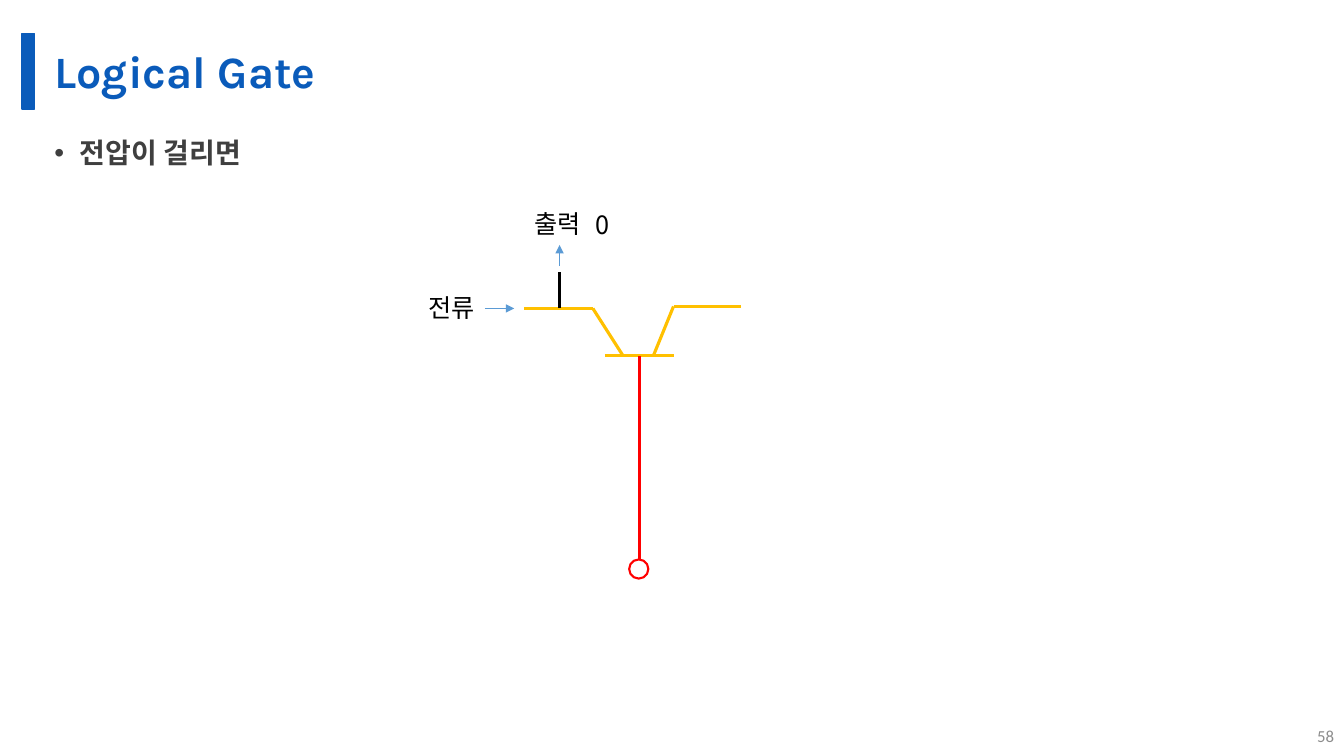
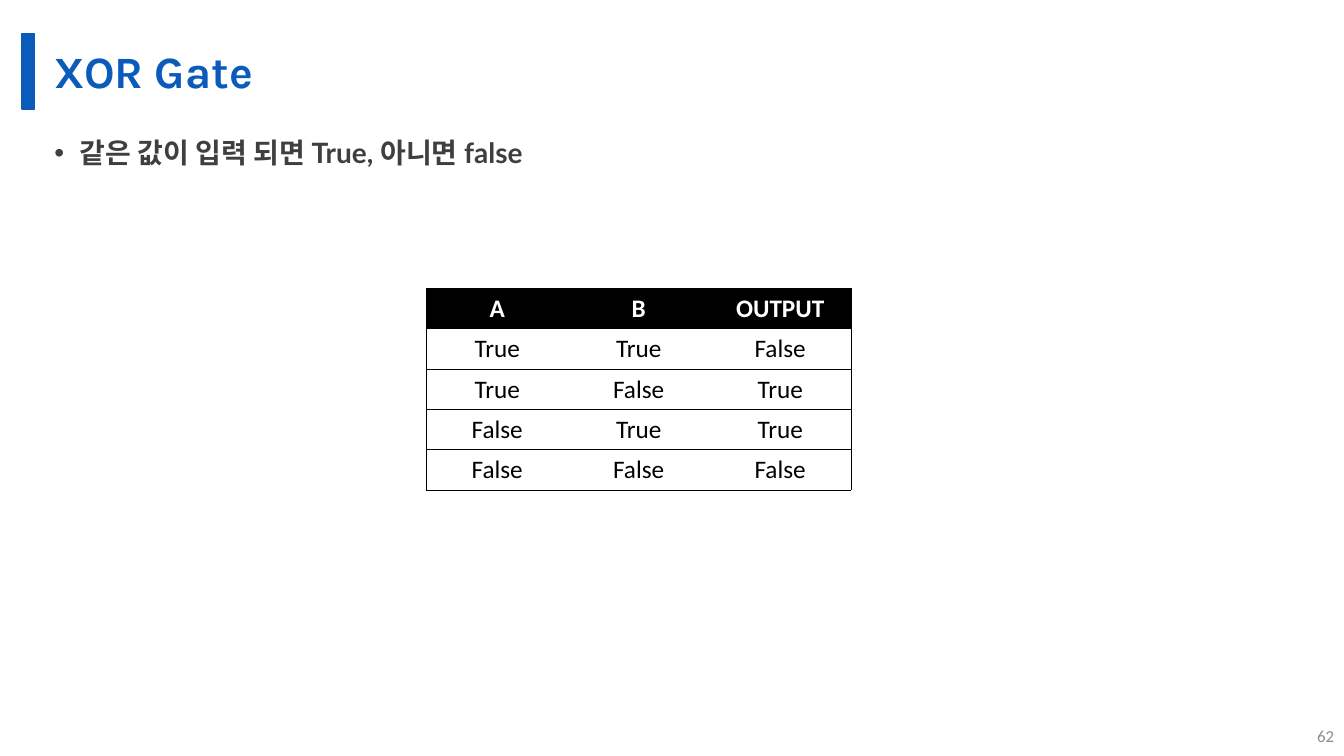
from lxml.etree import SubElement
from pptx import Presentation
from pptx.dml.color import RGBColor
from pptx.enum.shapes import MSO_CONNECTOR, MSO_SHAPE
from pptx.enum.text import MSO_ANCHOR, MSO_AUTO_SIZE, PP_ALIGN
from pptx.oxml.ns import qn
from pptx.util import Inches, Pt

BLUE = RGBColor(0x0A, 0x5B, 0xBA)
DARK_GRAY = RGBColor(0x3F, 0x3F, 0x3F)
PAGE_GRAY = RGBColor(0x8C, 0x8C, 0x8C)
AMBER = RGBColor(0xFF, 0xC0, 0x00)
RED = RGBColor(0xFF, 0x00, 0x00)
ARROW_BLUE = RGBColor(0x5B, 0x9B, 0xD5)
BLACK = RGBColor(0x00, 0x00, 0x00)
WHITE = RGBColor(0xFF, 0xFF, 0xFF)

TITLE_FONT, BODY_FONT, TABLE_FONT = "Karla", "Lato", "Calibri"
KOREAN_FONT = "Noto Sans CJK KR"
PLAIN_TABLE_STYLE = "{2D5ABB26-0587-4C30-8999-92F81FD0307C}"

TRUTH_TABLE = [
    ("A", "B", "OUTPUT"),
    ("True", "True", "False"),
    ("True", "False", "True"),
    ("False", "True", "True"),
    ("False", "False", "False"),
]


def format_runs(paragraph, font, size, color, bold=False):
    for run in paragraph.runs:
        run.font.name = font
        run.font.size = Pt(size)
        run.font.bold = bold
        run.font.color.rgb = color
        SubElement(run.font._element, qn("a:ea"), typeface=KOREAN_FONT)


def place(shape, left, top, width, height):
    shape.left, shape.top = Inches(left), Inches(top)
    shape.width, shape.height = Inches(width), Inches(height)


def add_text(slide, text, left, top, width, font, size, color):
    box = slide.shapes.add_textbox(
        Inches(left), Inches(top), Inches(width), Inches(0.4))
    box.text_frame.text = text
    format_runs(box.text_frame.paragraphs[0], font, size, color)
    return box.text_frame


def add_title(slide, text, left, top, width, height):
    """Title with the blue bar to its left."""
    bar = slide.shapes.add_shape(
        MSO_SHAPE.RECTANGLE, Inches(left), Inches(top), Inches(0.12), Inches(height))
    bar.shadow.inherit = False
    bar.fill.solid()
    bar.fill.fore_color.rgb = BLUE
    bar.line.color.rgb = BLUE
    bar.line.width = Pt(1)

    title = slide.shapes.title
    place(title, left + 0.22, top, width - 0.22, height)
    frame = title.text_frame
    frame.text = text
    frame.auto_size = MSO_AUTO_SIZE.NONE
    frame.vertical_anchor = MSO_ANCHOR.MIDDLE
    frame.margin_bottom = 0
    heading = frame.paragraphs[0]
    heading.alignment = PP_ALIGN.LEFT
    heading.line_spacing = 0.9
    format_runs(heading, TITLE_FONT, 32, BLUE, bold=True)


def add_bullet(slide, text, left, top, width, height):
    body = slide.placeholders[1]
    place(body, left, top, width, height)
    frame = body.text_frame
    frame.text = text
    frame.auto_size = MSO_AUTO_SIZE.NONE
    bullet = frame.paragraphs[0]
    bullet.line_spacing = 1.14
    bullet.space_before, bullet.space_after = Pt(0), Pt(3)
    properties = bullet._p.get_or_add_pPr()
    properties.set("marL", str(Inches(0.25)))
    properties.set("indent", str(-Inches(0.25)))
    SubElement(properties, qn("a:buFont"), typeface="Arial")
    SubElement(properties, qn("a:buChar"), char="•")
    format_runs(bullet, BODY_FONT, 20, DARK_GRAY, bold=True)


def add_content_slide(deck, title, bullet, page):
    slide = deck.slides.add_slide(deck.slide_layouts[1])
    add_title(slide, title, 0.22, 0.33, 12.67, 0.75)
    add_bullet(slide, bullet, 0.44, 1.25, 12.45, 5.92)
    number = add_text(slide, page, 12.89, 7.1, 0.44, TABLE_FONT, 12, PAGE_GRAY)
    number.word_wrap = True
    number.vertical_anchor = MSO_ANCHOR.MIDDLE
    number.paragraphs[0].alignment = PP_ALIGN.RIGHT
    return slide


def add_line(slide, start, end, color, width=2.25, arrow=False):
    line = slide.shapes.add_connector(
        MSO_CONNECTOR.STRAIGHT, *(Inches(value) for value in start + end))
    line.line.color.rgb = color
    line.line.width = Pt(width)
    if arrow:
        SubElement(line.line._get_or_add_ln(), qn("a:tailEnd"), type="triangle")
    SubElement(line._element.spPr, qn("a:effectLst"))


def add_transistor(slide, left, top):
    def at(x, y):
        return left + x, top + y

    wires = [
        (AMBER, [(1.05, 1.04), (1.73, 1.04), (2.03, 1.51)]),
        (AMBER, [(1.85, 1.51), (2.53, 1.51)]),
        (AMBER, [(2.33, 1.51), (2.53, 1.02), (3.2, 1.02)]),
        (RED, [(2.19, 3.53), (2.19, 1.51)]),
        (BLACK, [(1.4, 0.68), (1.4, 1.04)]),
    ]
    for color, points in wires:
        for start, end in zip(points, points[1:]):
            add_line(slide, at(*start), at(*end), color)

    input_arrow = (0.66, 1.04), (0.95, 1.04)
    output_arrow = (1.4, 0.62), (1.4, 0.41)
    for start, end in (input_arrow, output_arrow):
        add_line(slide, at(*start), at(*end), ARROW_BLUE, 0.5, arrow=True)

    terminal = slide.shapes.add_shape(
        MSO_SHAPE.OVAL, *(Inches(value) for value in at(2.09, 3.53)),
        Inches(0.19), Inches(0.19))
    terminal.shadow.inherit = False
    terminal.fill.background()
    terminal.line.color.rgb = RED
    terminal.line.width = Pt(1.5)

    labels = [("전류", 0, 0.83, 0.71), ("출력", 1.05, 0, 0.69), ("0", 1.66, 0.01, 0.36)]
    for text, x, y, width in labels:
        add_text(slide, text, *at(x, y), width, KOREAN_FONT, 18, BLACK)


def add_border(cell, side):
    border = SubElement(
        cell._tc.get_or_add_tcPr(), qn(f"a:ln{side}"), w=str(Pt(0.5)))
    fill = SubElement(border, qn("a:solidFill"))
    SubElement(fill, qn("a:srgbClr"), val=str(BLACK))


def add_truth_table(slide, rows, left, top, width, height):
    columns = len(rows[0])
    table = slide.shapes.add_table(
        len(rows), columns, Inches(left), Inches(top),
        Inches(width), Inches(height)).table
    table.horz_banding = False
    table._tbl.tblPr.find(qn("a:tableStyleId")).text = PLAIN_TABLE_STYLE
    for row, values in enumerate(rows):
        header = row == 0
        for column, value in enumerate(values):
            cell = table.cell(row, column)
            if column == 0:
                add_border(cell, "L")
            if column == columns - 1:
                add_border(cell, "R")
            add_border(cell, "T")
            add_border(cell, "B")
            if header:
                cell.fill.solid()
                cell.fill.fore_color.rgb = BLACK
            else:
                cell.fill.background()
            cell.text_frame.text = value
            entry = cell.text_frame.paragraphs[0]
            entry.alignment = PP_ALIGN.CENTER
            format_runs(entry, TABLE_FONT, 18, WHITE if header else BLACK, header)


def main():
    deck = Presentation()
    deck.slide_width, deck.slide_height = Inches(13.33), Inches(7.5)

    logical_gate = add_content_slide(deck, "Logical Gate", "전압이 걸리면", "58")
    add_transistor(logical_gate, 4.15, 2.02)

    xor_gate = add_content_slide(
        deck, "XOR Gate", "같은 값이 입력 되면 True, 아니면 false", "62")
    add_truth_table(xor_gate, TRUTH_TABLE, 4.23, 2.86, 4.21, 2)

    deck.save("out.pptx")


if __name__ == "__main__":
    main()
